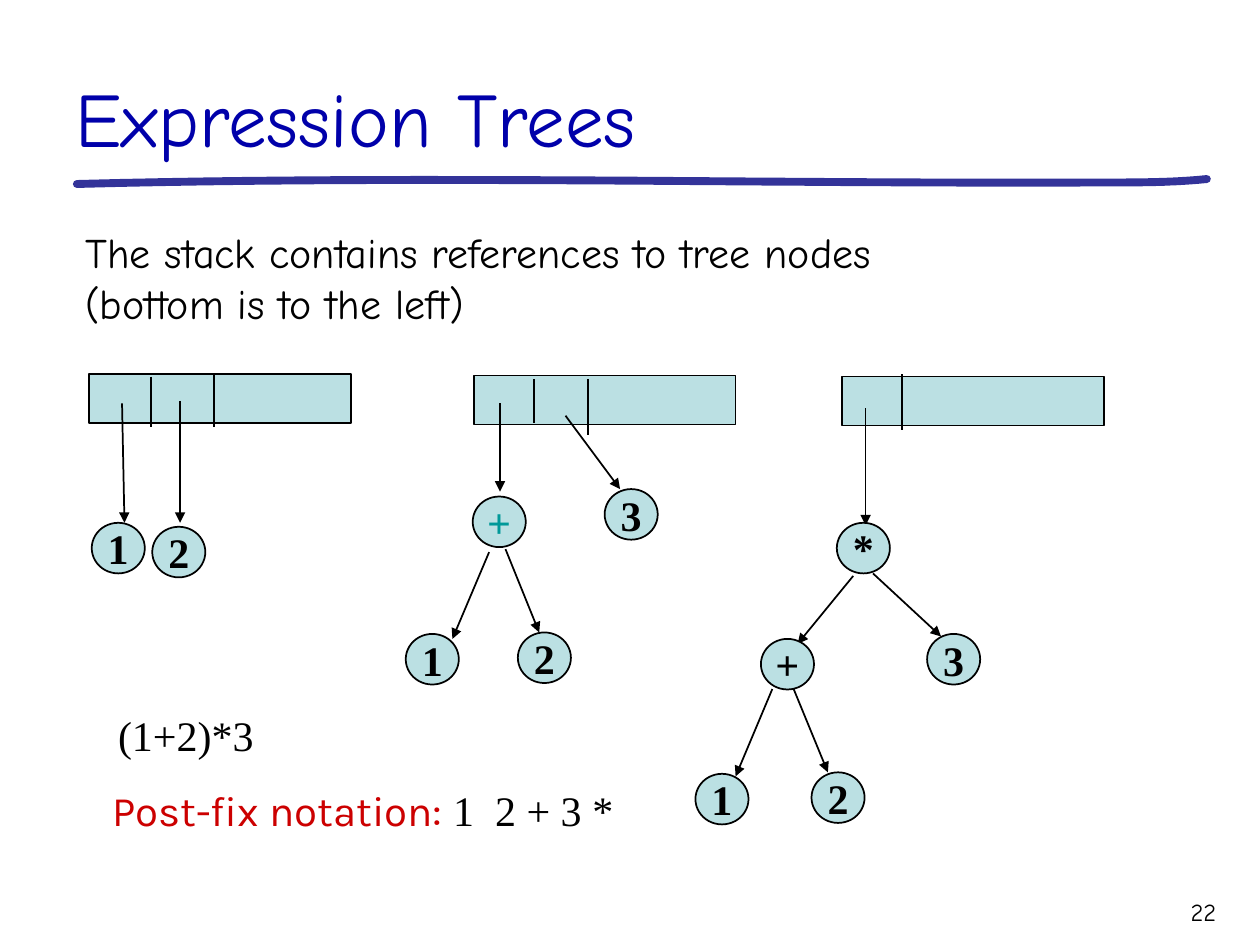
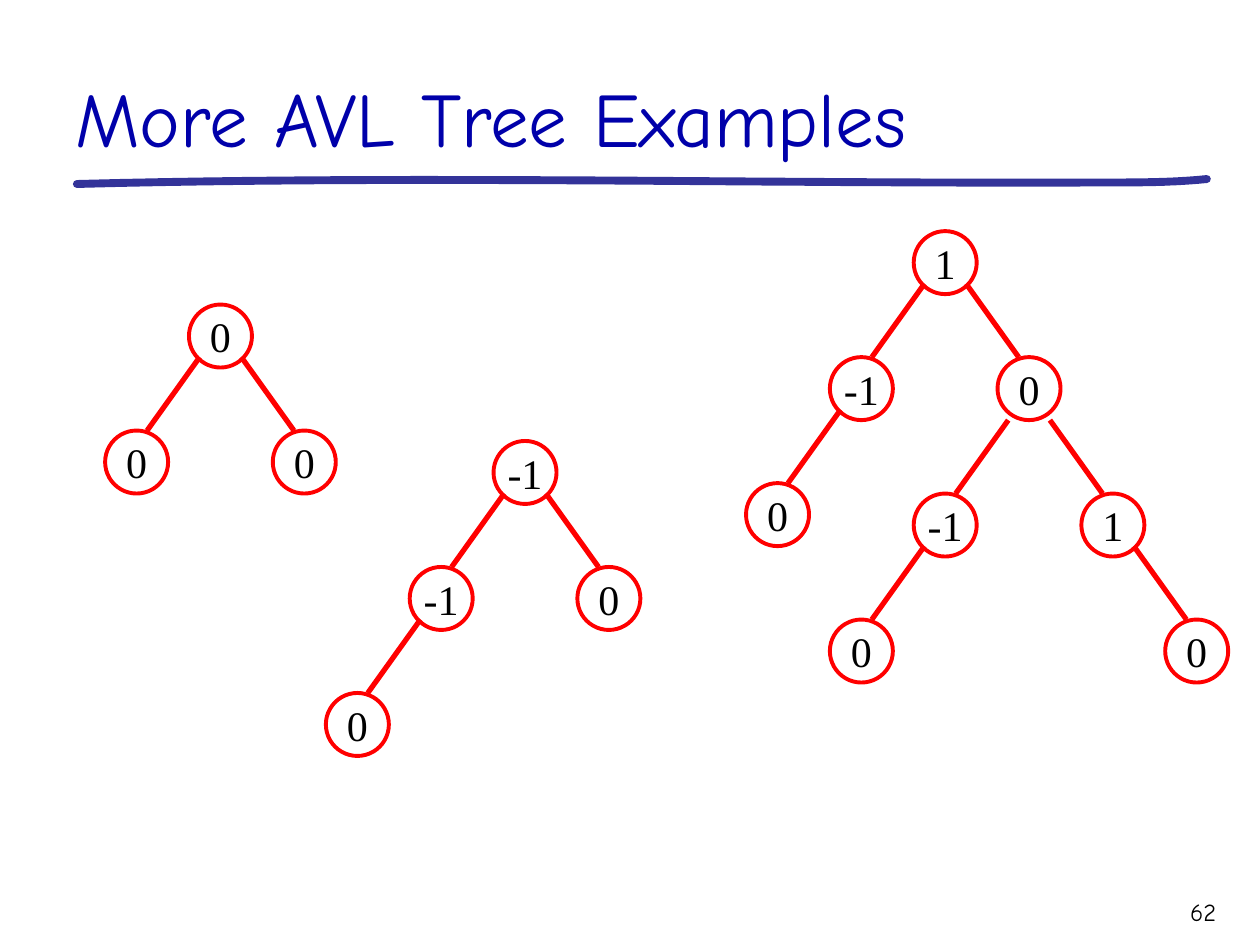
from lxml import etree
from pptx import Presentation
from pptx import util as u
from pptx.dml.color import RGBColor
from pptx.enum import shapes, text
from pptx.oxml import ns

COLORS = {
    "ink": "000000",
    "title": "0000AA",
    "rule": "333399",
    "stack": "BBE0E3",
    "accent": "009999",
    "label": "CC0000",
    "avl": "FF0000",
}
HAND, SANS, SERIF = "Comic Neue", "Karla", "Times New Roman"

RULE_START = (1.55, 3.71)
RULE_CURVES = [
    ((8.46, 3.53), (15.37, 3.71), (22.25, 3.68)),
    ((22.96, 3.68), (23.65, 3.68), (24.33, 3.61)),
]

STACK_W, STACK_H = 5.28, 0.99
NODE_W, NODE_H = 1.07, 1.02

STACKS = [
    {
        "origin": (1.8, 7.54),
        "dividers": [(1.25, 0.05, 1.07), (2.52, 0, 1.07)],
        "arrows": [(0.66, 0.59, 0.71, 3), (1.83, 0.54, 1.83, 3)],
        "nodes": [("1", 0.05, 3), ("2", 1.27, 3.08)],
    },
    {
        "origin": (9.55, 7.57),
        "dividers": [(1.22, 0.08, 0.96), (2.31, 0.08, 1.19)],
        "arrows": [
            (0.53, 0.56, 0.53, 2.34),
            (1.85, 0.81, 2.95, 2.29),
            (0.31, 3.56, -0.43, 5.31),
            (0.64, 3.5, 1.32, 5.18),
        ],
        "nodes": [("+", -0.02, 2.44, "accent"), ("1", -1.37, 5.21),
                  ("2", 0.89, 5.18), ("3", 2.64, 2.29)],
    },
    {
        "origin": (16.97, 7.59),
        "dividers": [(1.22, -0.05, 1.07)],
        "arrows": [
            (0.48, 0.64, 0.48, 3),
            (0.23, 4.02, -0.89, 5.39),
            (0.63, 3.97, 2, 5.24),
            (-1.4, 6.3, -2.14, 8.06),
            (-0.97, 6.3, -0.28, 7.98),
        ],
        "nodes": [("*", -0.1, 2.95), ("+", -1.63, 5.29), ("1", -2.95, 8.01),
                  ("2", -0.61, 7.98), ("3", 1.72, 5.19)],
    },
]

AVL_SIZE = 1.27
AVL_DX, AVL_DY = 1.69, 2.54
EDGE_H = 1.48


def rgb(name):
    return RGBColor.from_string(COLORS[name])


def set_line(line, color, width):
    line.color.rgb = rgb(color)
    line.width = u.Pt(width)


def style_run(r, font, size, color="ink", bold=False):
    r.font.name = font
    r.font.size = u.Pt(size)
    r.font.color.rgb = rgb(color)
    r.font.bold = bold


def add_text(s, box, runs, size, align=text.PP_ALIGN.LEFT,
             anchor=text.MSO_ANCHOR.TOP):
    tb = s.shapes.add_textbox(*map(u.Cm, box))
    tf = tb.text_frame
    tf.word_wrap = True
    tf.vertical_anchor = anchor
    p = tf.paragraphs[0]
    p.alignment = align
    for content, font, color in runs:
        r = p.add_run()
        r.text = content
        style_run(r, font, size, color)


def add_line(s, x1, y1, x2, y2, color="ink", width=1, arrow=False):
    cn = s.shapes.add_connector(shapes.MSO_CONNECTOR.STRAIGHT,
                                *map(u.Cm, (x1, y1, x2, y2)))
    set_line(cn.line, color, width)
    if arrow:
        tail = etree.SubElement(cn.line._get_or_add_ln(), ns.qn("a:tailEnd"))
        tail.set("type", "triangle")
    etree.SubElement(cn._element.spPr, ns.qn("a:effectLst"))


def add_box(s, kind, box, color, width, fill=None):
    sp = s.shapes.add_shape(kind, *map(u.Cm, box))
    sp.shadow.inherit = False
    if fill:
        sp.fill.solid()
        sp.fill.fore_color.rgb = rgb(fill)
    else:
        sp.fill.background()
    set_line(sp.line, color, width)
    return sp


def add_node(s, label, box, line, width, fill=None, color="ink", bold=False):
    sp = add_box(s, shapes.MSO_SHAPE.OVAL, box, line, width, fill)
    tf = sp.text_frame
    tf.text = label
    tf.word_wrap = False
    tf.vertical_anchor = text.MSO_ANCHOR.MIDDLE
    p = tf.paragraphs[0]
    p.alignment = text.PP_ALIGN.CENTER
    style_run(p.runs[0], SERIF, 24, color, bold)


def curve_points(start, curves, steps=24):
    for a, b, end in curves:
        for i in range(1, steps + 1):
            t = i / steps
            weights = ((1 - t) ** 3, 3 * t * (1 - t) ** 2, 3 * t * t * (1 - t), t ** 3)
            yield tuple(u.Cm(sum(w * pt[k] for w, pt in zip(weights, (start, a, b, end))))
                        for k in (0, 1))
        start = end


def add_title_rule(s):
    fb = s.shapes.build_freeform(*map(u.Cm, RULE_START))
    fb.add_line_segments(list(curve_points(RULE_START, RULE_CURVES)), close=False)
    sp = fb.convert_to_shape()
    sp.shadow.inherit = False
    sp.fill.background()
    set_line(sp.line, "rule", 4.5)
    ln = sp.line._get_or_add_ln()
    ln.set("cap", "rnd")
    etree.SubElement(ln, ns.qn("a:round"))


def add_base(prs, title, number):
    s = prs.slides.add_slide(prs.slide_layouts[6])
    add_title_rule(s)
    add_text(s, (1.27, 0.43, 23.5, 2.97), [(title, HAND, "title")], 44,
             anchor=text.MSO_ANCHOR.BOTTOM)
    add_text(s, (22.23, 17.96, 2.54, 0.89), [(str(number), HAND, "ink")], 14,
             align=text.PP_ALIGN.RIGHT)
    return s


def add_stack(s, origin, dividers, arrows, nodes):
    x, y = origin
    add_box(s, shapes.MSO_SHAPE.RECTANGLE, (x, y, STACK_W, STACK_H), "ink", 1, "stack")
    for dx, top, bottom in dividers:
        add_line(s, x + dx, y + top, x + dx, y + bottom)
    for x1, y1, x2, y2 in arrows:
        add_line(s, x + x1, y + y1, x + x2, y + y2, arrow=True)
    for label, dx, dy, *color in nodes:
        add_node(s, label, (x + dx, y + dy, NODE_W, NODE_H), "ink", 1, "stack",
                 *color, bold=True)


def add_avl_tree(s, x, y, label, left=None, right=None, drop=AVL_DY):
    add_node(s, label, (x, y, AVL_SIZE, AVL_SIZE), "avl", 2.25)
    center = x + AVL_SIZE / 2
    for child, side in ((left, -1), (right, 1)):
        if child:
            add_line(s, center + side * 0.42, y + drop - EDGE_H,
                     center + side * 1.48, y + drop, "avl", 3)
            add_avl_tree(s, x + side * AVL_DX, y + drop, *child)


def expression_slide(prs):
    s = add_base(prs, "Expression Trees", 22)
    add_text(s, (1.47, 4.45, 16.94, 2.29),
             [("The stack contains references to tree nodes (bottom is to the left)",
               HAND, "ink")], 24)
    for stack in STACKS:
        add_stack(s, **stack)
    add_text(s, (2.13, 14.17, 3.6, 1.27), [("(1+2)*3", SERIF, "ink")], 24)
    add_text(s, (2.01, 15.7, 11, 1.27),
             [("Post-fix notation:", SANS, "label"), (" 1  2 + 3 *", SERIF, "ink")], 24)


def avl_slide(prs):
    s = add_base(prs, "More AVL Tree Examples", 62)
    leaf = ("0",)
    left_heavy = ("-1", leaf)
    right_heavy = ("1", None, leaf)
    add_avl_tree(s, 3.81, 6.14, "0", leaf, leaf)
    add_avl_tree(s, 9.95, 8.89, "-1", left_heavy, leaf)
    add_avl_tree(s, 18.42, 4.66, "1", left_heavy, ("0", left_heavy, right_heavy, 2.75))


def main():
    prs = Presentation()
    prs.slide_width, prs.slide_height = u.Cm(25.4), u.Cm(19.05)
    expression_slide(prs)
    avl_slide(prs)
    prs.save("out.pptx")


if __name__ == "__main__":
    main()
